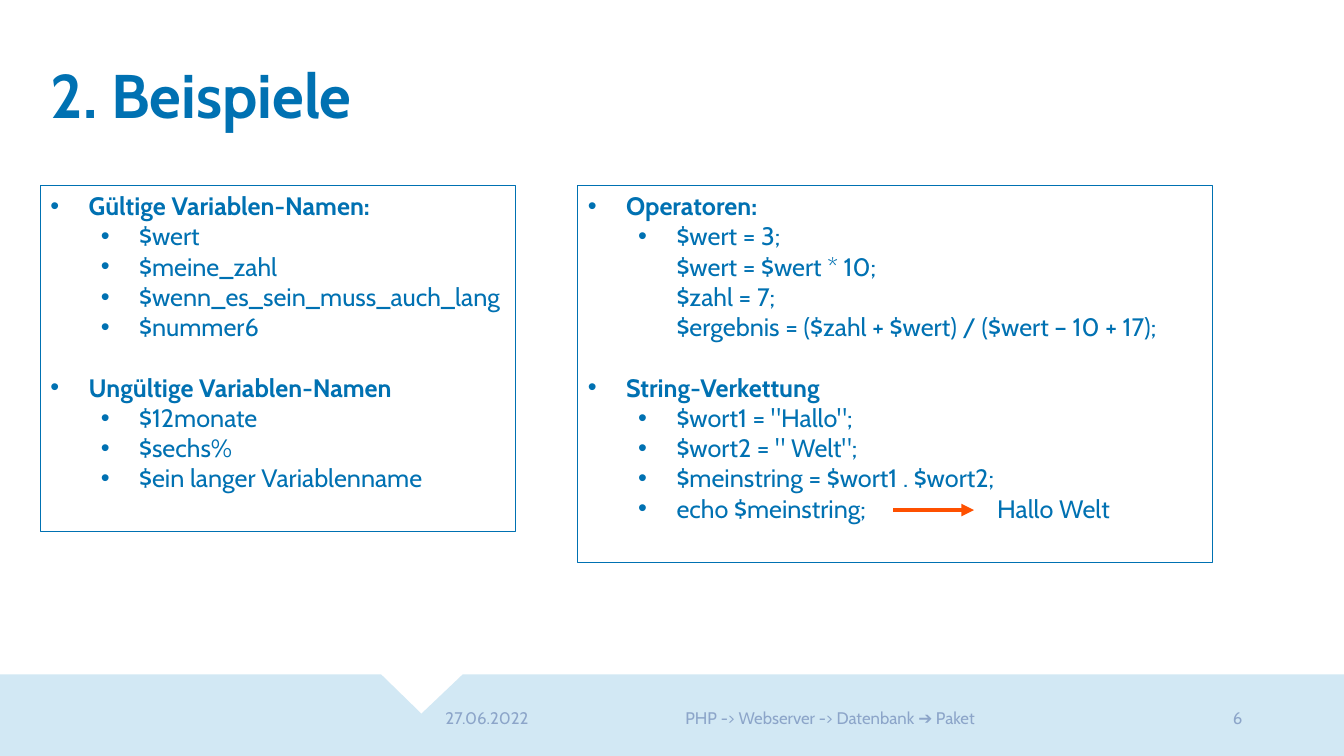
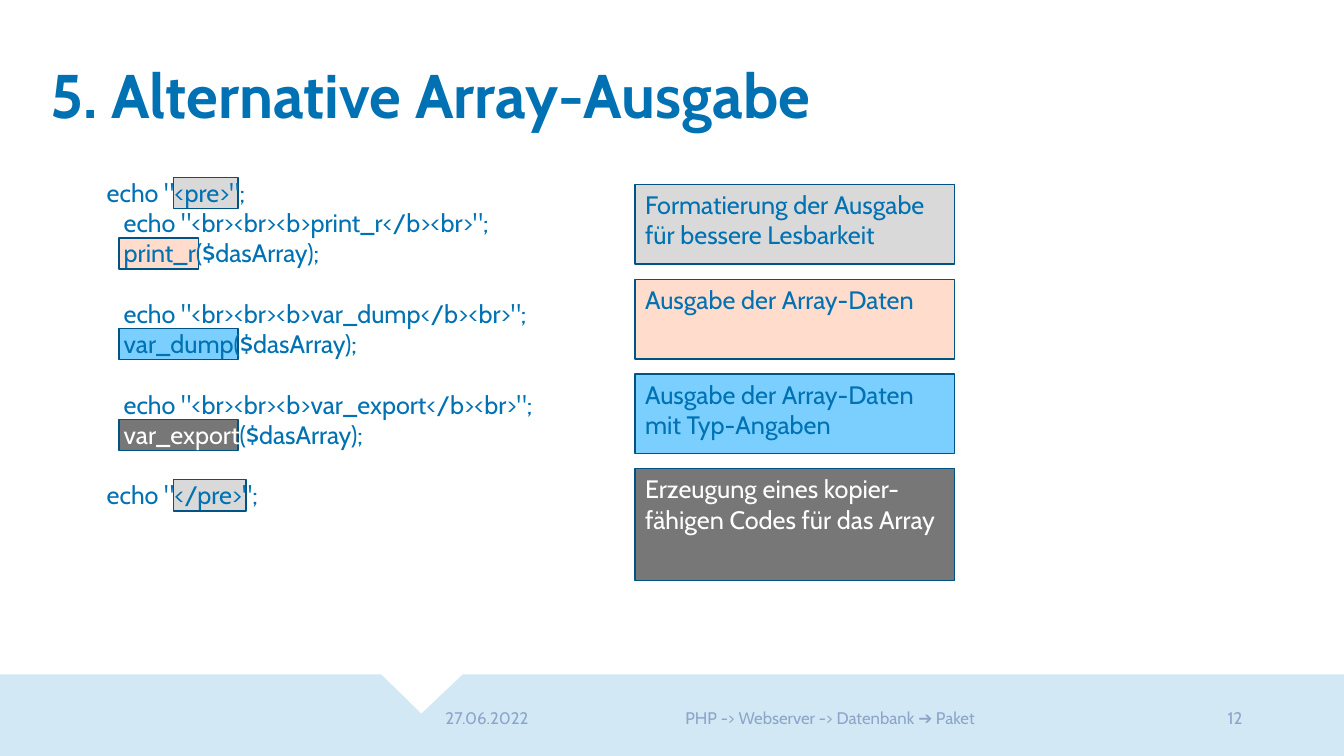
from dataclasses import dataclass
from typing import NamedTuple, Optional

from lxml import etree
from pptx import Presentation
from pptx.dml.color import RGBColor
from pptx.enum.shapes import MSO_CONNECTOR, MSO_SHAPE
from pptx.enum.text import MSO_ANCHOR, MSO_AUTO_SIZE, PP_ALIGN
from pptx.oxml.ns import qn
from pptx.util import Inches, Pt

RECTANGLE = MSO_SHAPE.RECTANGLE
STRAIGHT = MSO_CONNECTOR.STRAIGHT
TOP, MIDDLE = MSO_ANCHOR.TOP, MSO_ANCHOR.MIDDLE
LEFT, CENTER, RIGHT = PP_ALIGN.LEFT, PP_ALIGN.CENTER, PP_ALIGN.RIGHT
NO_AUTOFIT = MSO_AUTO_SIZE.NONE

# Shared look
SLIDE_W, SLIDE_H = 13.33, 7.5
FONT = "Cabin"
BLUE, BORDER, BAND, FOOTER = "0071B2", "005484", "D2E8F4", "8CA5C9"
GREY, PEACH, SKY, DARK = "D9D9D9", "FFDCCC", "7ACFFF", "777777"
ORANGE, WHITE = "FE5000", "FFFFFF"
MARGIN = 0.4
BODY_SIZE = 18
ROW = 0.3  # height of one line of body text
GROUP_GAP = ROW * 72
TWO_CONTENT, TITLE_ONLY = 3, 5


class Box(NamedTuple):
    left: float
    top: float
    width: float
    height: float


@dataclass
class Style:
    color: str = BLUE
    size: float = BODY_SIZE
    bold: bool = False


@dataclass
class Group:
    heading: str
    items: list[str]


@dataclass
class CodeLine:
    text: str
    row: int
    marked: str = ""  # part of the line set in white


@dataclass
class Highlight:
    row: int
    left: float
    width: float
    fill: str


@dataclass
class Note:
    text: str
    fill: str
    color: str = BLUE
    height: float = 0.79


BODY = Style()
HEADING = Style(bold=True)
TITLE = Style(size=44, bold=True)
SMALL = Style(color=FOOTER, size=12)


def rgb(value: str) -> RGBColor:
    return RGBColor.from_string(value)


def place(shape, box: Box) -> None:
    shape.left, shape.top, shape.width, shape.height = map(Inches, box)


def add_run(paragraph, text: str, style: Style) -> None:
    run = paragraph.add_run()
    run.text = text
    run.font.name = FONT
    run.font.size = Pt(style.size)
    run.font.bold = style.bold
    run.font.color.rgb = rgb(style.color)


def set_frame(shape, anchor=TOP):
    frame = shape.text_frame
    frame.word_wrap = True
    frame.auto_size = NO_AUTOFIT
    frame.vertical_anchor = anchor
    return frame


def next_paragraph(frame, index: int):
    return frame.paragraphs[0] if index == 0 else frame.add_paragraph()


def add_label(slide, box: Box, text: str, align) -> None:
    label = slide.shapes.add_textbox(*map(Inches, box))
    paragraph = set_frame(label, MIDDLE).paragraphs[0]
    paragraph.alignment = align
    add_run(paragraph, text, SMALL)


def add_panel(slide, box: Box, fill: str):
    panel = slide.shapes.add_shape(RECTANGLE, *map(Inches, box))
    panel.shadow.inherit = False
    panel.fill.solid()
    panel.fill.fore_color.rgb = rgb(fill)
    panel.line.color.rgb = rgb(BORDER)
    panel.line.width = Pt(1)
    return panel


def add_band(slide) -> None:
    top, notch_bottom = 6.69, 7.08
    outline = [(3.78, top), (4.18, notch_bottom), (4.59, top),
               (SLIDE_W, top), (SLIDE_W, SLIDE_H), (0, SLIDE_H)]
    builder = slide.shapes.build_freeform(0, Inches(top))
    builder.add_line_segments([(Inches(x), Inches(y)) for x, y in outline])
    band = builder.convert_to_shape()
    band.shadow.inherit = False
    band.fill.solid()
    band.fill.fore_color.rgb = rgb(BAND)
    band.line.fill.background()


def start_slide(deck, layout: int, title: str, number: int):
    slide = deck.slides.add_slide(deck.slide_layouts[layout])
    add_band(slide)
    heading = slide.shapes.title
    place(heading, Box(MARGIN, 0.6, 9.36, 0.79))
    paragraph = set_frame(heading).paragraphs[0]
    paragraph.alignment = LEFT
    paragraph.line_spacing = 0.9
    add_run(paragraph, title, TITLE)

    # Footer: date, topic and page number side by side
    left = 4.32
    for width, text, align in (
        (1.55, "27.06.2022", LEFT),
        (4.73, "PHP -> Webserver -> Datenbank ➔ Paket", CENTER),
        (1.82, str(number), RIGHT),
    ):
        add_label(slide, Box(left, 6.9, width, 0.45), text, align)
        left += width
    return slide


def set_bullet(paragraph, level: int, tab: Optional[float]) -> None:
    paragraph.level = level
    properties = paragraph._p.get_or_add_pPr()
    properties.set("marL", str(Inches(0.38 + 0.5 * level)))
    properties.set("indent", str(Inches(-0.38)))
    etree.SubElement(properties, qn("a:buFont"), typeface="Arial")
    etree.SubElement(properties, qn("a:buChar"), char="•")
    if tab:
        stops = etree.SubElement(properties, qn("a:tabLst"))
        etree.SubElement(stops, qn("a:tab"), pos=str(Inches(tab)), algn="l")


def fill_list(holder, box: Box, groups: list[Group]) -> None:
    place(holder, box)
    holder.line.color.rgb = rgb(BLUE)
    holder.line.width = Pt(0.75)
    frame = set_frame(holder)
    entries = [(text, level) for group in groups
               for level, texts in enumerate(([group.heading], group.items))
               for text in texts]
    for index, (text, level) in enumerate(entries):
        paragraph = next_paragraph(frame, index)
        set_bullet(paragraph, level, 4.06 if "\t" in text else None)
        paragraph.space_before = Pt(GROUP_GAP if index and level == 0 else 0)
        for number, line in enumerate(text.split("\n")):
            if number:
                paragraph.add_line_break()
            add_run(paragraph, line, BODY if level else HEADING)


def add_arrow(slide, start: float, end: float, top: float) -> None:
    arrow = slide.shapes.add_connector(
        STRAIGHT, Inches(start), Inches(top), Inches(end), Inches(top))
    arrow.line.color.rgb = rgb(ORANGE)
    arrow.line.width = Pt(3)
    etree.SubElement(arrow.line._get_or_add_ln(), qn("a:tailEnd"), type="triangle")
    etree.SubElement(arrow._element.spPr, qn("a:effectLst"))


def add_code(slide, box: Box, lines: list[CodeLine]) -> None:
    frame = set_frame(slide.shapes.add_textbox(*map(Inches, box)))
    previous = -1
    for index, line in enumerate(lines):
        paragraph = next_paragraph(frame, index)
        paragraph.space_before = Pt((line.row - previous - 1) * GROUP_GAP)
        previous = line.row
        if line.marked:
            before, after = line.text.split(line.marked)
            add_run(paragraph, before, BODY)
            add_run(paragraph, line.marked, Style(color=WHITE))
            add_run(paragraph, after, BODY)
        else:
            add_run(paragraph, line.text, BODY)


def build_examples(deck) -> None:
    slide = start_slide(deck, TWO_CONTENT, "2. Beispiele", 6)
    names = [
        Group("Gültige Variablen-Namen:",
              ["$wert", "$meine_zahl", "$wenn_es_sein_muss_auch_lang", "$nummer6"]),
        Group("Ungültige Variablen-Namen",
              ["$12monate", "$sechs%", "$ein langer Variablenname"]),
    ]
    operators = [
        Group("Operatoren:",
              ["$wert = 3;\n$wert = $wert * 10;\n$zahl = 7;\n"
               "$ergebnis = ($zahl + $wert) / ($wert – 10 + 17);"]),
        Group("String-Verkettung",
              ['$wort1 = "Hallo";', '$wort2 = " Welt";',
               "$meinstring = $wort1 . $wort2;", "echo $meinstring;\tHallo Welt"]),
    ]
    top = 1.84
    fill_list(slide.placeholders[1], Box(MARGIN, top, 4.71, 3.43), names)
    fill_list(slide.placeholders[2], Box(5.73, top, 6.3, 3.74), operators)
    add_arrow(slide, 8.86, 9.66, 5.06)


def build_array_output(deck) -> None:
    slide = start_slide(deck, TITLE_ONLY, "5. Alternative Array-Ausgabe", 12)

    # Coloured marks behind the code
    code_top = 1.71
    for mark in (
        Highlight(0, 1.72, 0.64, GREY),
        Highlight(2, 1.18, 0.79, PEACH),
        Highlight(5, 1.18, 1.18, SKY),
        Highlight(8, 1.18, 1.18, DARK),
        Highlight(10, 1.72, 0.72, GREY),
    ):
        top = code_top + 0.05 + mark.row * ROW
        add_panel(slide, Box(mark.left, top, mark.width, 0.31), mark.fill)

    # Code listing
    lines = [CodeLine('echo "<pre>";', 0)]
    for row, function, marked in ((1, "print_r", ""), (4, "var_dump", ""),
                                  (7, "var_export", "var_export")):
        lines += [CodeLine(f'   echo "<br><br><b>{function}</b><br>";', row),
                  CodeLine(f"   {function}($dasArray);", row + 1, marked)]
    lines.append(CodeLine('echo "</pre>";', 10))
    add_code(slide, Box(0.96, code_top, 4.66, 3.43), lines)

    # Notes explaining the colours
    top = 1.83
    for note in (
        Note("Formatierung der Ausgabe für bessere Lesbarkeit", GREY),
        Note("Ausgabe der Array-Daten", PEACH),
        Note("Ausgabe der Array-Daten mit Typ-Angaben", SKY),
        Note("Erzeugung eines kopier-fähigen Codes für das Array", DARK, WHITE, 1.11),
    ):
        panel = add_panel(slide, Box(6.3, top, 3.17, note.height), note.fill)
        paragraph = set_frame(panel).paragraphs[0]
        paragraph.alignment = LEFT
        add_run(paragraph, note.text, Style(color=note.color))
        top += note.height + 0.15


def main() -> None:
    deck = Presentation()
    deck.slide_width, deck.slide_height = Inches(SLIDE_W), Inches(SLIDE_H)
    build_examples(deck)
    build_array_output(deck)
    deck.save("out.pptx")


if __name__ == "__main__":
    main()
